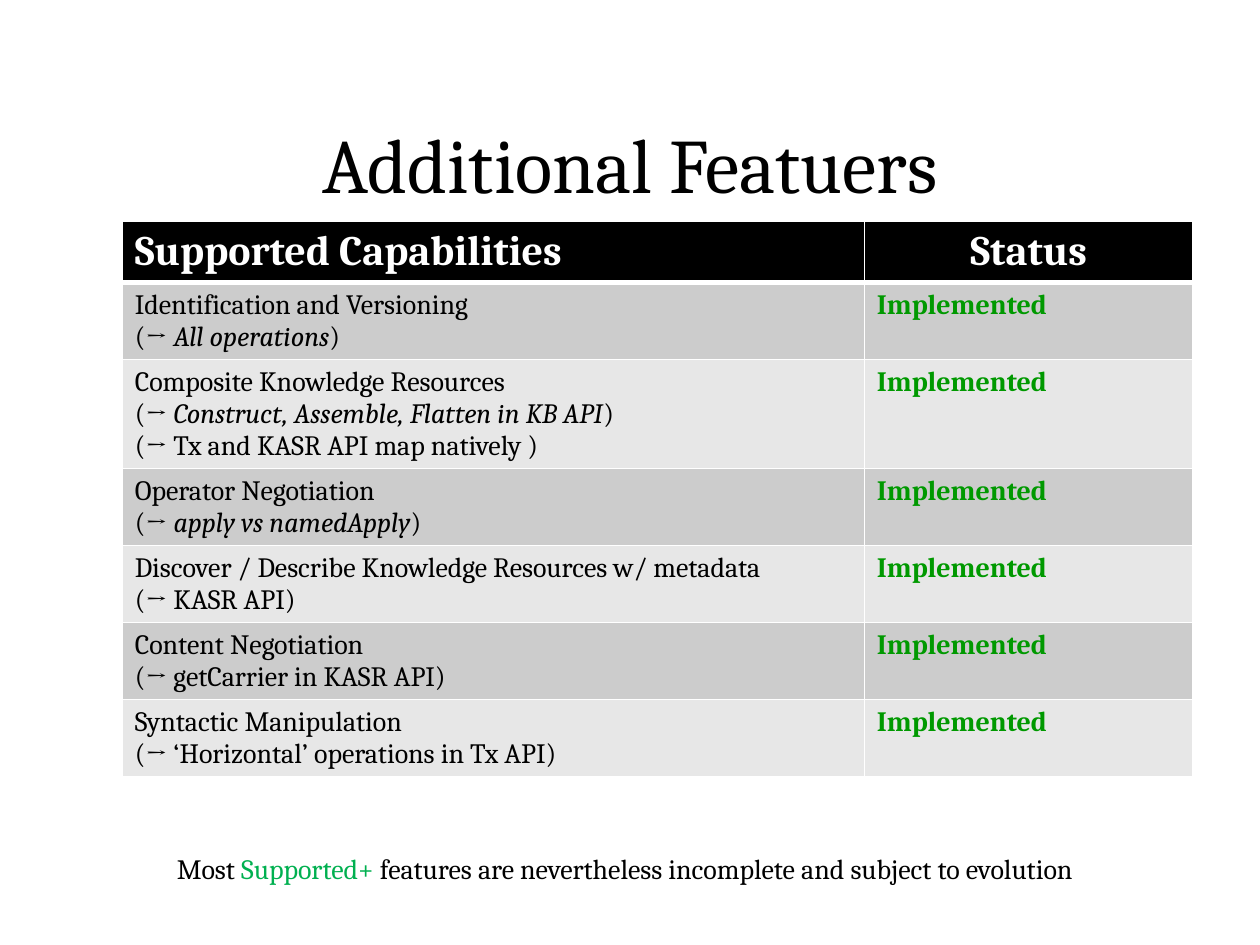
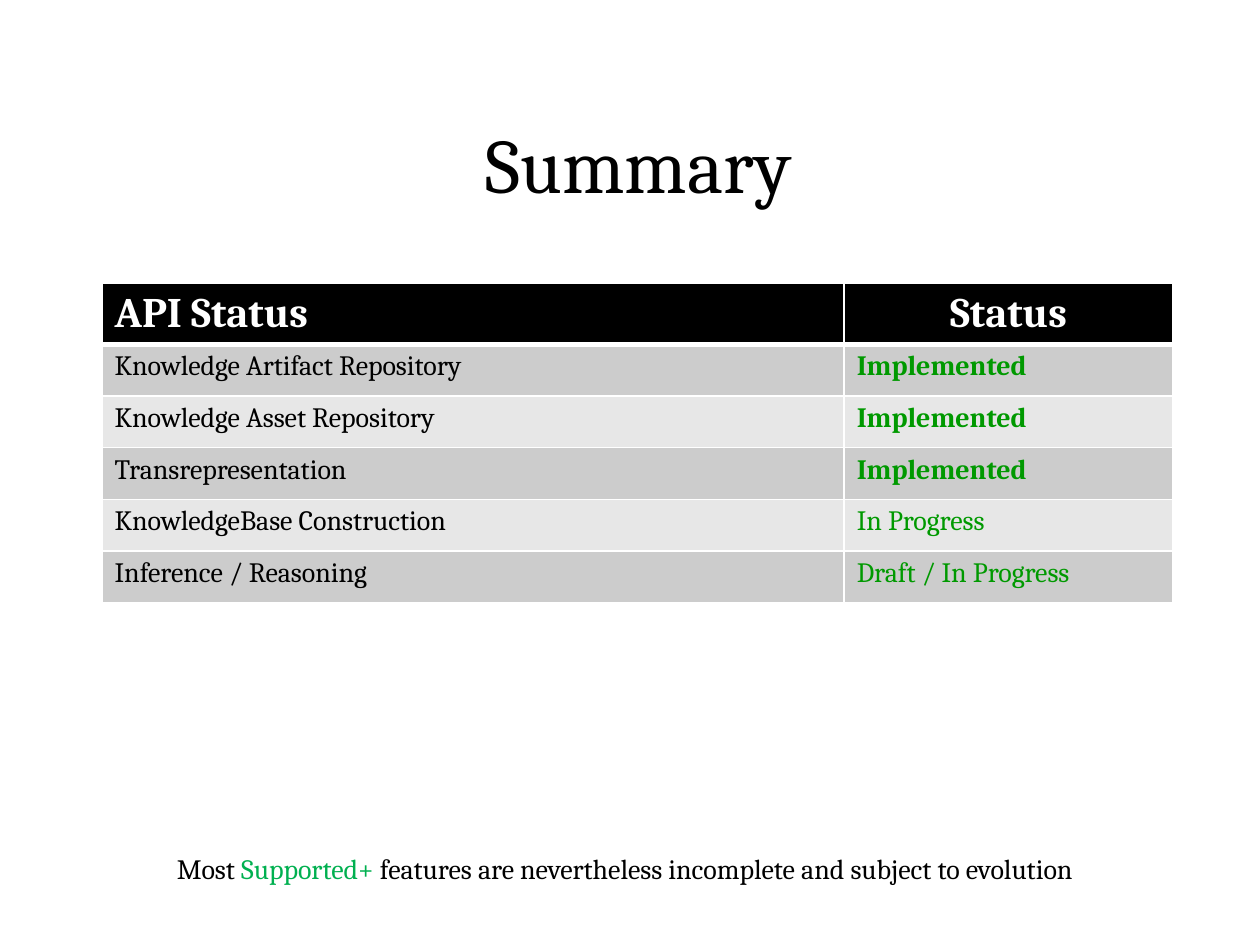
from lxml import etree
from pptx import Presentation
from pptx.dml.color import RGBColor
from pptx.enum.text import MSO_ANCHOR, MSO_AUTO_SIZE, PP_ALIGN
from pptx.oxml.ns import qn
from pptx.util import Inches, Pt

LEFT, CENTER = PP_ALIGN.LEFT, PP_ALIGN.CENTER
MIDDLE = MSO_ANCHOR.MIDDLE
NO_FIT, GROW = MSO_AUTO_SIZE.NONE, MSO_AUTO_SIZE.SHAPE_TO_FIT_TEXT

FONT = "Cambria"
BLACK = RGBColor(0x00, 0x00, 0x00)
WHITE = RGBColor(0xFF, 0xFF, 0xFF)
DARK_BAND = RGBColor(0xCC, 0xCC, 0xCC)
LIGHT_BAND = RGBColor(0xE7, 0xE7, 0xE7)
STATUS_GREEN = RGBColor(0x00, 0x99, 0x00)
NOTE_GREEN = RGBColor(0x00, 0xB0, 0x50)

TITLE_BOX = (0.75, 0.67, 8.5, 1.25)
NOTE_BOX = (0.97, 6.71, 7.98, 0.37)
COLUMN_WIDTHS = (5.89, 2.61)
ROW_HEIGHT = 0.41

ITALIC = {"italic": True}
DONE = ("Implemented", True)
NOTE = [["Most ", ("Supported+", {"color": NOTE_GREEN}),
         " features are nevertheless incomplete and subject to evolution"]]

CAPABILITIES = [
    (["Identification and Versioning",
      ["(→ ", ("All operations", ITALIC), ")"]], DONE),
    (["Composite Knowledge Resources",
      ["(→ ", ("Construct, Assemble, Flatten in KB API", ITALIC),
       ")\n(→ Tx and KASR API map natively )"]], DONE),
    (["Operator Negotiation",
      ["(→ ", ("apply vs namedApply", ITALIC), ")"]], DONE),
    (["Discover / Describe Knowledge Resources w/ metadata",
      "(→ KASR API)"], DONE),
    (["Content Negotiation\n(→ getCarrier in KASR API)"], DONE),
    (["Syntactic Manipulation",
      "(→ ‘Horizontal’ operations in Tx API)"], DONE),
]
APIS = [
    (["Knowledge Artifact Repository"], DONE),
    (["Knowledge Asset Repository"], DONE),
    (["Transrepresentation"], DONE),
    (["KnowledgeBase Construction"], ("In Progress", False)),
    (["Inference / Reasoning"], ("Draft / In Progress", False)),
]


def style_run(run, size, color, bold, italic=False):
    """Format one run in the deck's font."""
    run.font.name = FONT
    run.font.size = Pt(size)
    run.font.color.rgb = color
    run.font.bold = bold
    run.font.italic = italic


def write(frame, paragraphs, align=LEFT, size=16, color=BLACK, bold=False):
    """Fill a text frame with paragraphs, each a string or a list of runs."""
    for index, content in enumerate(paragraphs):
        paragraph = frame.add_paragraph() if index else frame.paragraphs[0]
        paragraph.alignment = align
        for part in [content] if isinstance(content, str) else content:
            text, changes = (part, {}) if isinstance(part, str) else part
            look = {"size": size, "color": color, "bold": bold, **changes}
            for line_number, line in enumerate(text.split("\n")):
                if line_number:
                    paragraph.add_line_break()
                run = paragraph.add_run()
                run.text = line
                style_run(run, **look)


def border_cell(cell, top, bottom):
    """Draw white cell borders, with top and bottom widths in points."""
    properties = cell._tc.get_or_add_tcPr()
    widths = {"a:lnL": 1, "a:lnR": 1, "a:lnT": top, "a:lnB": bottom}
    for position, (tag, width) in enumerate(widths.items()):
        line = etree.Element(qn(tag), w=str(Pt(width)))
        fill = etree.SubElement(line, qn("a:solidFill"))
        etree.SubElement(fill, qn("a:srgbClr"), val=str(WHITE))
        properties.insert(position, line)


def fill_cell(cell, paragraphs, fill, top=1, bottom=1, **text_format):
    """Write, fill and border one table cell."""
    write(cell.text_frame, paragraphs, **text_format)
    cell.fill.solid()
    cell.fill.fore_color.rgb = fill
    border_cell(cell, top, bottom)


def add_title(slide, text, box):
    """Place and format the title placeholder."""
    title = slide.shapes.title
    title.left, title.top, title.width, title.height = map(Inches, box)
    frame = title.text_frame
    frame.vertical_anchor = MIDDLE
    frame.word_wrap = True
    frame.auto_size = NO_FIT
    write(frame, [text], align=CENTER, size=44)


def add_status_table(slide, heading, entries, left, top):
    """Add a banded table of entries and their status."""
    row_count = len(entries) + 1
    table = slide.shapes.add_table(
        row_count, len(COLUMN_WIDTHS), Inches(left), Inches(top),
        Inches(sum(COLUMN_WIDTHS)), Inches(ROW_HEIGHT * row_count)).table
    for column, width in zip(table.columns, COLUMN_WIDTHS):
        column.width = Inches(width)
    for row in table.rows:
        row.height = Inches(ROW_HEIGHT)
    for column, (label, align) in enumerate([(heading, LEFT), ("Status", CENTER)]):
        fill_cell(table.cell(0, column), [label], BLACK, bottom=3,
                  align=align, size=24, color=WHITE, bold=True)
    for row, (description, (status, bold)) in enumerate(entries, 1):
        band = DARK_BAND if row % 2 else LIGHT_BAND
        top_width = 3 if row == 1 else 1
        fill_cell(table.cell(row, 0), description, band, top=top_width)
        fill_cell(table.cell(row, 1), [status], band, top=top_width,
                  color=STATUS_GREEN, bold=bold)


def add_note(slide, box):
    """Add the closing note shared by the slides."""
    frame = slide.shapes.add_textbox(*map(Inches, box)).text_frame
    frame.word_wrap = True
    frame.auto_size = GROW
    write(frame, NOTE, align=CENTER)


def add_status_slide(deck, title, heading, entries, left, top):
    """Add a slide with a title, a status table and the note."""
    slide = deck.slides.add_slide(deck.slide_layouts.get_by_name("Title Only"))
    add_title(slide, title, TITLE_BOX)
    add_status_table(slide, heading, entries, left, top)
    add_note(slide, NOTE_BOX)


def main():
    """Build and save the deck."""
    deck = Presentation()
    deck.slide_width, deck.slide_height = Inches(10), Inches(7.5)
    add_status_slide(deck, "Additional Featuers", "Supported Capabilities",
                     CAPABILITIES, 0.97, 1.76)
    add_status_slide(deck, " Summary", "API Status", APIS, 0.81, 2.25)
    deck.save("out.pptx")


main()
